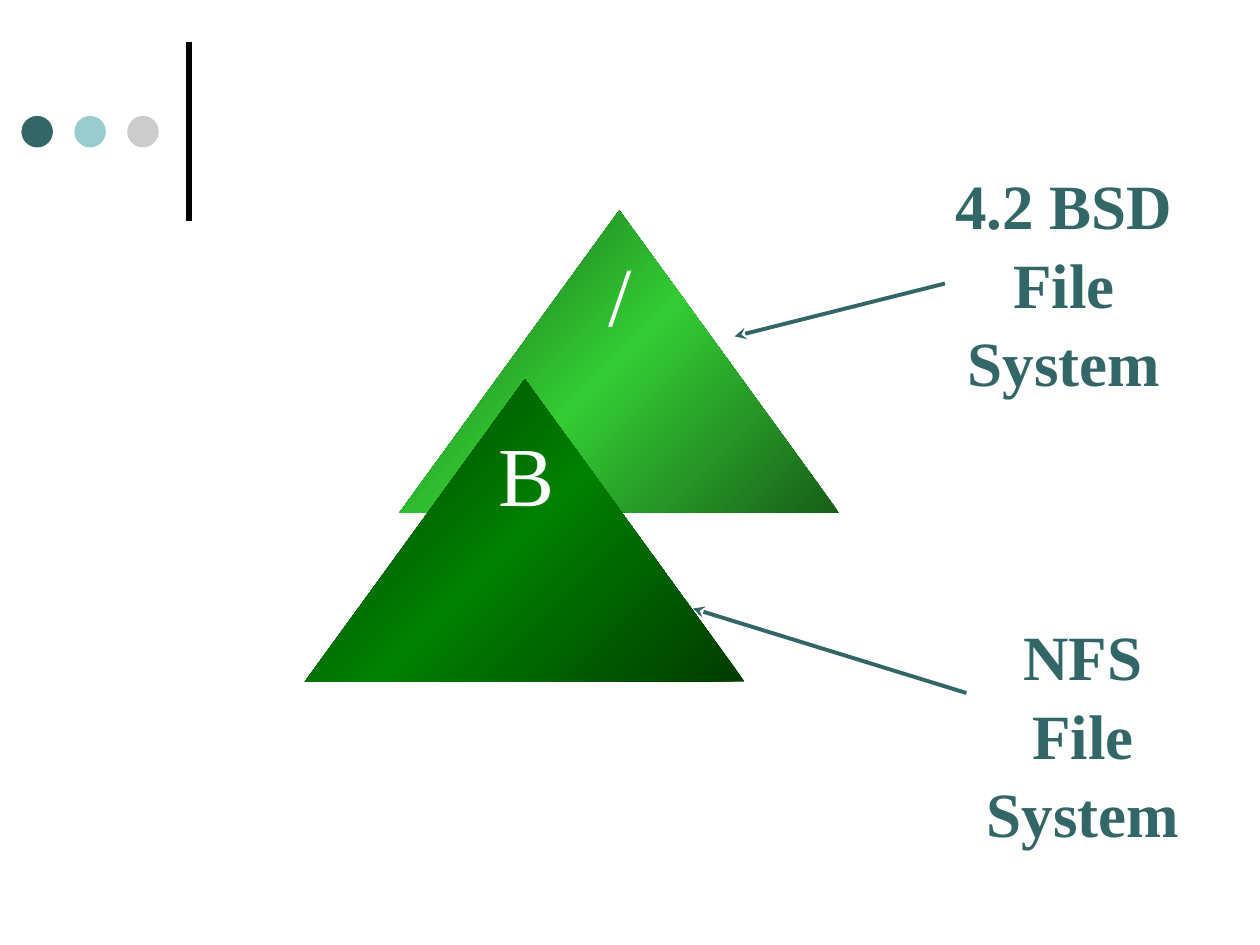
"""Build the slide showing an NFS file system mounted over a 4.2 BSD root."""
from lxml import etree
from pptx import Presentation
from pptx.dml.color import RGBColor
from pptx.enum.shapes import MSO_CONNECTOR, MSO_SHAPE
from pptx.enum.text import MSO_AUTO_SIZE, PP_ALIGN
from pptx.oxml.ns import qn
from pptx.util import Inches, Pt

STRAIGHT = MSO_CONNECTOR.STRAIGHT
OVAL, TRIANGLE = MSO_SHAPE.OVAL, MSO_SHAPE.ISOSCELES_TRIANGLE
CENTER, GROW = PP_ALIGN.CENTER, MSO_AUTO_SIZE.SHAPE_TO_FIT_TEXT

COLORS = {
    "teal": "336666", "aqua": "99CCCC", "gray": "CCCCCC", "black": "000000",
    "white": "FFFFFF", "lime": "33CC33", "lime_dark": "185E18",
    "green": "008000", "green_dark": "003B00",
}
FONT = "Times New Roman"
DOTS = ["teal", "aqua", "gray"]
DOT_LEFT, DOT_TOP, DOT_SIZE, DOT_STEP = 0.17, 0.92, 0.25, 0.42
TRIANGLE_SIZE = (3.49, 2.4)
TREES = [
    ((3.17, 1.67), "lime_dark", "lime"),
    ((2.42, 3.01), "green_dark", "green"),
]
MOUNT_POINTS = [
    ("/", (4.73, 1.84, 0.38, 0.9)),
    ("B", (3.86, 3.27, 0.64, 0.9)),
]
FILE_SYSTEMS = [
    ("4.2 BSD\nFile\nSystem", (7.48, 1.25, 1.93, 1.9), (5.83, 2.67), (7.5, 2.25)),
    ("NFS\nFile\nSystem", (7.73, 4.83, 1.73, 1.9), (5.5, 4.83), (7.67, 5.5)),
]


def rgb(name):
    return RGBColor.from_string(COLORS[name])


def add_plain_shape(slide, preset, *box):
    shape = slide.shapes.add_shape(preset, *map(Inches, box))
    shape.shadow.inherit = False
    shape.line.fill.background()
    return shape


def add_tree(slide, corner, edge, middle):
    tree = add_plain_shape(slide, TRIANGLE, *corner, *TRIANGLE_SIZE)
    tree.fill.gradient()
    gradient = tree._element.spPr.find(qn("a:gradFill"))
    stops = gradient.find(qn("a:gsLst"))
    for stop in list(stops):
        stops.remove(stop)
    for percent, color in ((0, edge), (50, middle), (100, edge)):
        stop = etree.SubElement(stops, qn("a:gs"), pos=str(percent * 1000))
        etree.SubElement(stop, qn("a:srgbClr"), val=COLORS[color])
    gradient.find(qn("a:lin")).set("ang", str(45 * 60000))


def add_line(slide, start, end, color, width):
    line = slide.shapes.add_connector(STRAIGHT, *map(Inches, start + end))
    line.line.color.rgb = rgb(color)
    line.line.width = Pt(width)
    etree.SubElement(line._element.spPr, qn("a:effectLst"))
    return line


def add_label(slide, text, box, size, color, bold=False):
    frame = slide.shapes.add_textbox(*map(Inches, box)).text_frame
    frame.word_wrap = False
    frame.auto_size = GROW
    frame.text = text
    for paragraph in frame.paragraphs:
        paragraph.alignment = CENTER
        paragraph.line_spacing = 1.04
        font = paragraph.runs[0].font
        font.name, font.size, font.bold = FONT, Pt(size), bold
        font.color.rgb = rgb(color)


def main():
    deck = Presentation()
    deck.slide_width, deck.slide_height = Inches(10), Inches(7.5)
    slide = deck.slides.add_slide(deck.slide_layouts[6])

    add_line(slide, (1.5, 1.75), (1.5, 0.33), "black", 3)
    for index, color in enumerate(DOTS):
        dot = add_plain_shape(slide, OVAL, DOT_LEFT + index * DOT_STEP,
                              DOT_TOP, DOT_SIZE, DOT_SIZE)
        dot.fill.solid()
        dot.fill.fore_color.rgb = rgb(color)

    for corner, edge, middle in TREES:
        add_tree(slide, corner, edge, middle)
    for text, box in MOUNT_POINTS:
        add_label(slide, text, box, 48, "white")
    for text, box, tip, tail in FILE_SYSTEMS:
        arrow = add_line(slide, tip, tail, "teal", 2.25)
        etree.SubElement(arrow.line._get_or_add_ln(), qn("a:headEnd"), type="stealth")
        add_label(slide, text, box, 36, "teal", bold=True)

    deck.save("out.pptx")


if __name__ == "__main__":
    main()
